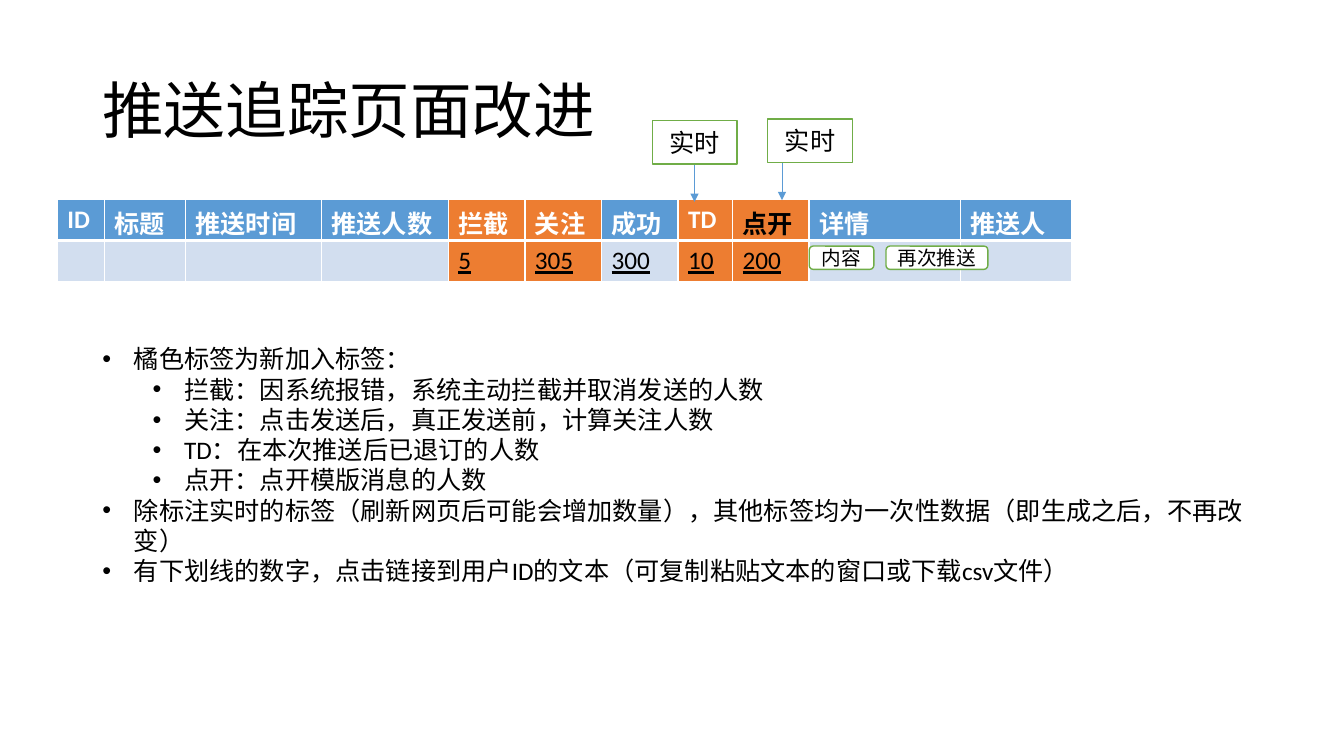
from lxml.etree import SubElement
from pptx import Presentation
from pptx.dml.color import RGBColor
from pptx.enum.shapes import MSO_CONNECTOR, MSO_SHAPE
from pptx.enum.text import MSO_ANCHOR as Anchor, PP_ALIGN as Align
from pptx.oxml.ns import qn
from pptx.util import Pt

BLACK = RGBColor(0x00, 0x00, 0x00)
WHITE = RGBColor(0xFF, 0xFF, 0xFF)
BLUE = RGBColor(0x5B, 0x9B, 0xD5)
PALE_BLUE = RGBColor(0xD2, 0xDE, 0xEF)
ORANGE = RGBColor(0xED, 0x7D, 0x31)
GREEN = RGBColor(0x70, 0xAD, 0x47)

COLUMNS = [
    ("ID", 33.8, ""), ("标题 ", 57.6, ""), ("推送时间", 97.2, ""),
    ("推送人数", 90.7, ""), ("拦截", 54.7, "5"), ("关注", 54.7, "305"),
    ("成功", 54.7, "300"), ("TD", 38.9, "10"), ("点开", 54.7, "200"),
    ("详情", 108, ""), ("推送人", 79.9, ""),
]
NEW_COLUMNS = {"拦截", "关注", "TD", "点开"}
NOTES = [
    (0, "橘色标签为新加入标签："),
    (1, "拦截：因系统报错，系统主动拦截并取消发送的人数"),
    (1, "关注：点击发送后，真正发送前，计算关注人数"),
    (1, "TD：在本次推送后已退订的人数"),
    (1, "点开：点开模版消息的人数"),
    (0, "除标注实时的标签（刷新网页后可能会增加数量），其他标签均为一次性数据（即生成之后，不再改变）"),
    (0, "有下划线的数字，点击链接到用户ID的文本（可复制粘贴文本的窗口或下载csv文件）"),
]


def write(paragraph, text, size=18, color=BLACK, bold=False, underline=False, align=Align.LEFT):
    """Add formatted text to a paragraph."""
    paragraph.alignment = align
    run = paragraph.add_run()
    run.text = text
    font = run.font
    font.name, font.size, font.bold, font.underline = "Calibri", Pt(size), bold, underline
    font.color.rgb = color


def add_frame(slide, box, anchor=Anchor.TOP):
    """Add a wrapping text box and return its frame."""
    frame = slide.shapes.add_textbox(*map(Pt, box)).text_frame
    frame.word_wrap = True
    frame.vertical_anchor = anchor
    return frame


def add_title(slide, box, text):
    """Place the page title, centred vertically in its box."""
    heading = add_frame(slide, box, Anchor.MIDDLE).paragraphs[0]
    heading.line_spacing = 0.9
    write(heading, text, size=44)


def add_label(slide, box, text, outline=MSO_SHAPE.RECTANGLE, size=18):
    """Place a white label with a green outline."""
    label = slide.shapes.add_shape(outline, *map(Pt, box))
    label.shadow.inherit = False
    label.fill.solid()
    label.fill.fore_color.rgb = WHITE
    label.line.color.rgb = GREEN
    label.line.width = Pt(1)
    label.text_frame.vertical_anchor = Anchor.MIDDLE
    write(label.text_frame.paragraphs[0], text, size=size, align=Align.CENTER)


def set_borders(cell, bottom):
    """Draw white cell borders, with the given bottom width."""
    properties = cell._tc.get_or_add_tcPr()
    for side, width in (("L", 1), ("R", 1), ("T", 1), ("B", bottom)):
        border = SubElement(properties, qn(f"a:ln{side}"), w=str(Pt(width)))
        fill = SubElement(border, qn("a:solidFill"))
        SubElement(fill, qn("a:srgbClr"), val=str(WHITE))


def fill_cell(cell, text, background, bottom=1, **style):
    """Give a table cell its borders, fill and text."""
    set_borders(cell, bottom)
    cell.fill.solid()
    cell.fill.fore_color.rgb = background
    if text:
        write(cell.text_frame.paragraphs[0], text, **style)
    else:
        cell.text_frame.paragraphs[0].font.size = Pt(18)


def add_push_table(slide, box):
    """Place the push table and the detail buttons in its second row."""
    left, top, _, height = box
    table = slide.shapes.add_table(2, len(COLUMNS), *map(Pt, box)).table
    for index, (name, width, count) in enumerate(COLUMNS):
        table.columns[index].width = Pt(width)
        is_new = name in NEW_COLUMNS
        fill_cell(table.cell(0, index), name, ORANGE if is_new else BLUE, bottom=3,
                  bold=True, color=BLACK if name == "点开" else WHITE)
        fill_cell(table.cell(1, index), count, ORANGE if is_new else PALE_BLUE, underline=True)
    for text, offset, width in (("内容", 537.1, 46.1), ("再次推送", 591.9, 72.7)):
        add_label(slide, (left + offset, top + height / 2 + 4, width, 16.6), text,
                  outline=MSO_SHAPE.ROUNDED_RECTANGLE, size=14)


def add_notes(slide, box):
    """Place the two-level bulleted explanation."""
    frame = add_frame(slide, box)
    for index, (level, text) in enumerate(NOTES):
        note = frame.add_paragraph() if index else frame.paragraphs[0]
        note.level = level
        write(note, text)
        properties = note._p.get_or_add_pPr()
        properties.set("marL", str(Pt(22.5 + 36 * level)))
        properties.set("indent", str(Pt(-22.5)))
        SubElement(properties, qn("a:buFont"), typeface="Arial")
        SubElement(properties, qn("a:buChar"), char="•")


def add_live_marker(slide, box, arrow_offset):
    """Place a live-data label and the arrow down to its column."""
    left, top, _, height = box
    x, start = left + arrow_offset, top + height - 2
    arrow = slide.shapes.add_connector(
        MSO_CONNECTOR.STRAIGHT, Pt(x), Pt(start), Pt(x), Pt(start + 29))
    arrow.line.color.rgb = BLUE
    arrow.line.width = Pt(0.5)
    SubElement(arrow.line._get_or_add_ln(), qn("a:tailEnd"), type="triangle")
    SubElement(arrow._element.spPr, qn("a:effectLst"))
    add_label(slide, box, "实时")


def build_tracking_slide(presentation):
    """Build the push tracking slide."""
    slide = presentation.slides.add_slide(presentation.slide_layouts[6])
    add_title(slide, (66, 28.8, 828, 104.4), "推送追踪页面改进")
    add_push_table(slide, (41, 142.6, 722.9, 58.4))
    add_notes(slide, (66, 242, 838.8, 181.4))
    add_live_marker(slide, (465.9, 86.2, 60.5, 31), 30.2)
    add_live_marker(slide, (548.4, 85, 60.5, 31), 10.2)


presentation = Presentation()
presentation.slide_width, presentation.slide_height = Pt(960), Pt(540)
build_tracking_slide(presentation)
presentation.save("out.pptx")
